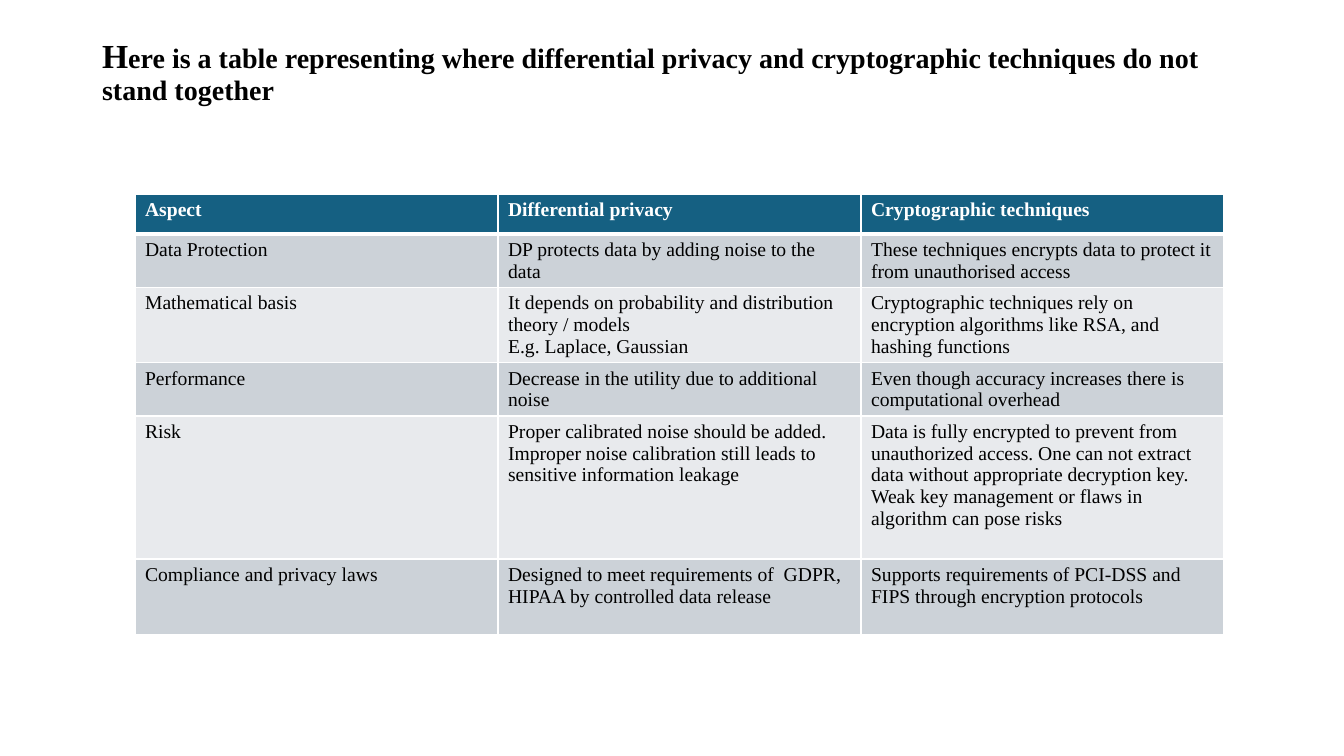
"""Build a slide with a table contrasting differential privacy and cryptographic techniques."""
import pptx
import pptx.dml.color
import pptx.enum.text
import pptx.oxml
import pptx.oxml.ns
import pptx.util

PX = 914400 / 100.8
THEME = {
    "font": "Times New Roman",
    "ink": "000000",
    "header_ink": "FFFFFF",
    "header_fill": "156082",
    "bands": ("CCD2D8", "E8EAED"),
    "rule": "FFFFFF",
    "initial_size": 24,
    "title_size": 20,
    "cell_size": 14,
}
ROW_HEIGHTS = (40, 53, 75, 53, 143, 76)
COLUMN_WIDTH = 363
ROWS = (
    ("Aspect", "Differential privacy", "Cryptographic techniques"),
    ("Data Protection",
     "DP protects data by adding noise to the data",
     "These techniques encrypts data to protect it from unauthorised access"),
    ("Mathematical basis",
     "It depends on probability and distribution theory / models\nE.g. Laplace, Gaussian",
     "Cryptographic techniques rely on encryption algorithms like RSA, and hashing functions"),
    ("Performance",
     "Decrease in the utility due to additional noise",
     "Even though accuracy increases there is computational overhead"),
    ("Risk",
     "Proper calibrated noise should be added. Improper noise calibration still leads to "
     "sensitive information leakage",
     "Data is fully encrypted to prevent from unauthorized access. One can not extract data "
     "without appropriate decryption key. Weak key management or flaws in algorithm can pose risks"),
    ("Compliance and privacy laws",
     "Designed to meet requirements of  GDPR, HIPAA by controlled data release",
     "Supports requirements of PCI-DSS and FIPS through encryption protocols"),
)


def px(n):
    return pptx.util.Emu(round(n * PX))


def style_font(p, size, color, bold):
    p.font.name = THEME["font"]
    p.font.size = pptx.util.Pt(size)
    p.font.bold = bold
    p.font.color.rgb = pptx.dml.color.RGBColor.from_string(color)


prs = pptx.Presentation()
prs.slide_width, prs.slide_height = px(1344), px(756)
s = prs.slides.add_slide(prs.slide_layouts[5])

title = s.shapes.title
title.left, title.top, title.width, title.height = px(92), px(0), px(1159), px(146)
tf = title.text_frame
tf.word_wrap = True
tf.auto_size = pptx.enum.text.MSO_AUTO_SIZE.NONE
tf.vertical_anchor = pptx.enum.text.MSO_ANCHOR.MIDDLE
p = tf.paragraphs[0]
p.alignment = pptx.enum.text.PP_ALIGN.LEFT
p.line_spacing = 0.9
style_font(p, THEME["title_size"], THEME["ink"], True)
r = p.add_run()
r.text = "H"
r.font.size = pptx.util.Pt(THEME["initial_size"])
r = p.add_run()
r.text = ("ere is a table representing where differential privacy and cryptographic "
          "techniques do not stand together")

frame = s.shapes.add_table(len(ROWS), len(ROWS[0]), px(135), px(194),
                           px(COLUMN_WIDTH * len(ROWS[0])), px(sum(ROW_HEIGHTS)))
table = frame.table
for column in table.columns:
    column.width = px(COLUMN_WIDTH)

for i, texts in enumerate(ROWS):
    table.rows[i].height = px(ROW_HEIGHTS[i])
    header = i == 0
    fill = THEME["header_fill"] if header else THEME["bands"][(i - 1) % 2]
    ink = THEME["header_ink"] if header else THEME["ink"]
    borders = {"L": 1, "R": 1, "T": 3 if i == 1 else 1, "B": 3 if header else 1}
    for j, text in enumerate(texts):
        cell = table.cell(i, j)
        cell.text = text
        for p in cell.text_frame.paragraphs:
            style_font(p, THEME["cell_size"], ink, header)
        tc_pr = cell._tc.get_or_add_tcPr()
        for side, width in borders.items():
            tc_pr.append(pptx.oxml.parse_xml(
                f'<a:ln{side} {pptx.oxml.ns.nsdecls("a")} w="{pptx.util.Pt(width)}">'
                f'<a:solidFill><a:srgbClr val="{THEME["rule"]}"/></a:solidFill></a:ln{side}>'))
        cell.fill.solid()
        cell.fill.fore_color.rgb = pptx.dml.color.RGBColor.from_string(fill)

prs.save("out.pptx")
